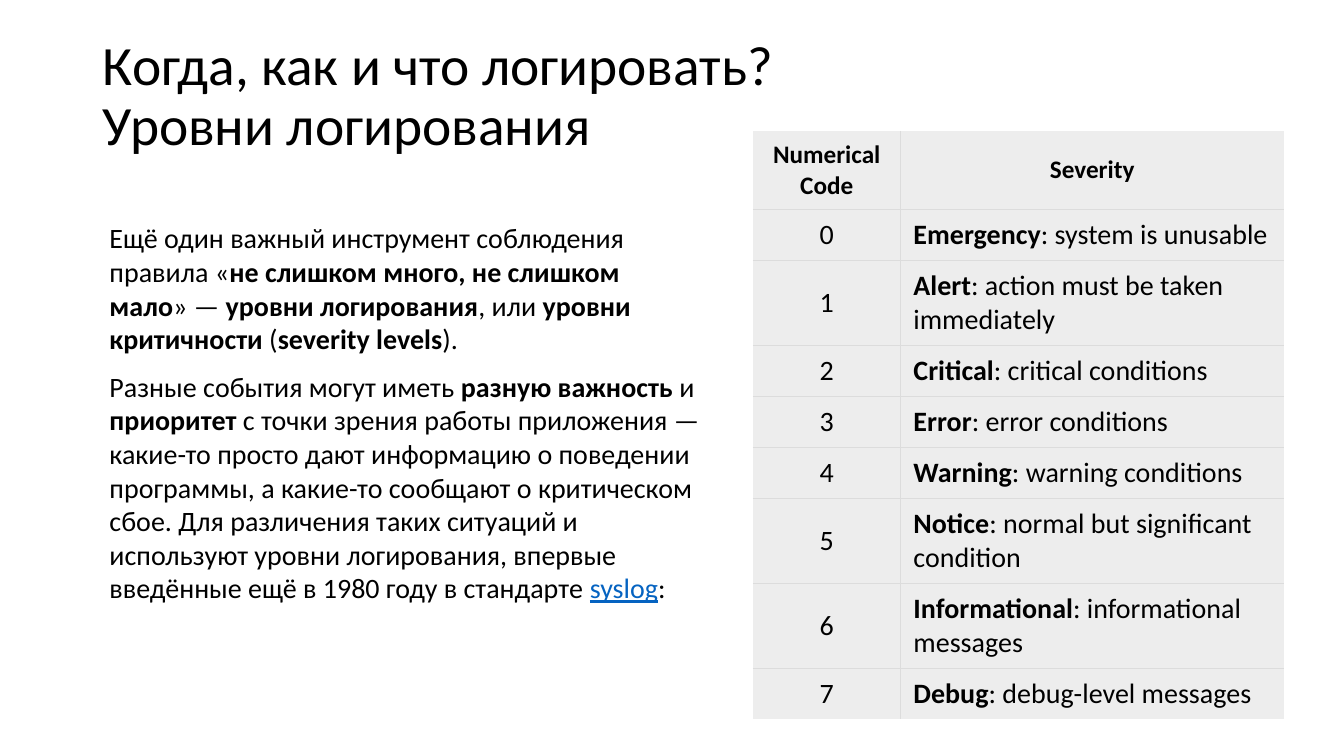
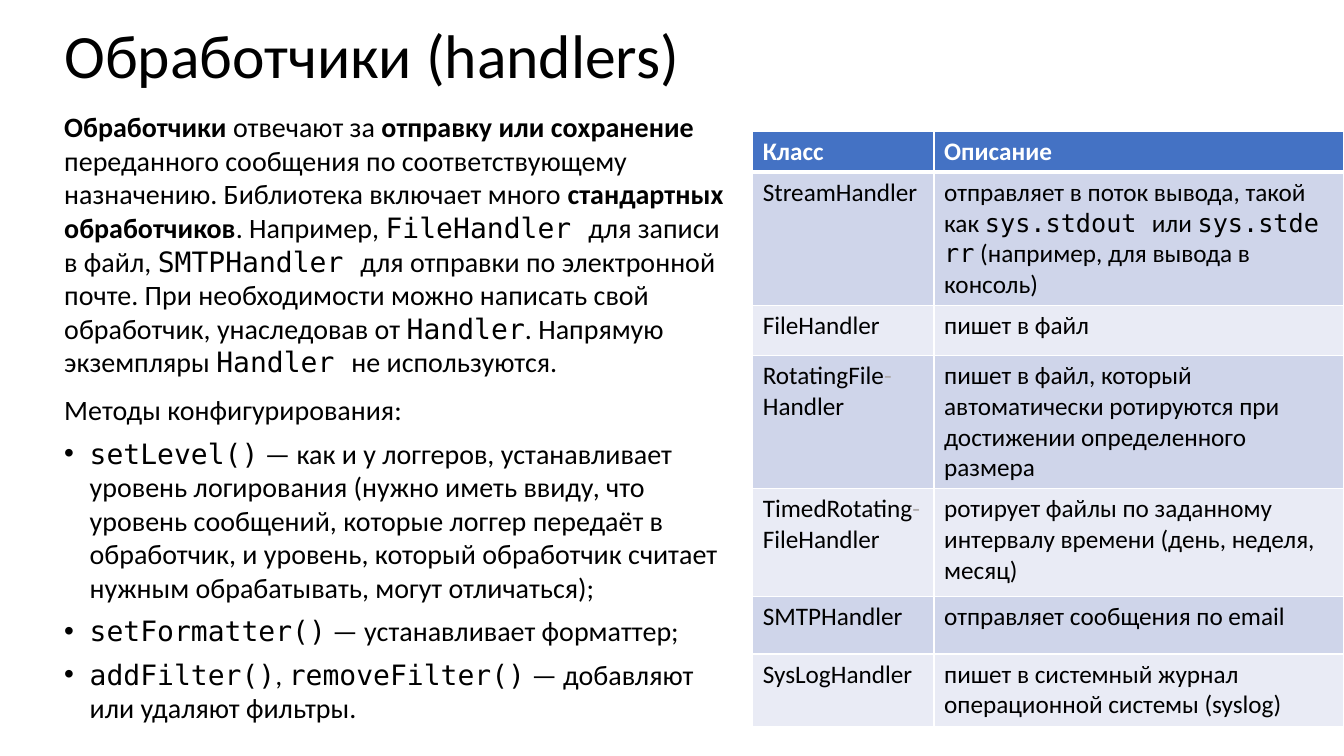
"""Build two slides about logging: severity levels and handlers."""
from lxml.etree import SubElement
from pptx import Presentation
from pptx.dml.color import RGBColor
from pptx.enum.text import MSO_ANCHOR as Anchor, PP_ALIGN as Align
from pptx.oxml.ns import qn
from pptx.util import Cm, Pt

TEXT_FONT, CODE_FONT = "Calibri", "DejaVu Sans Mono"
BLACK, WHITE, LINK, MUTED = "000000", "FFFFFF", "0563C1", "AFABAB"
GREY_FILL, GREY_LINE = "EDEDED", "DCDCDC"
HEADER_FILL, BAND_FILLS = "4472C4", ("CFD5EA", "E9EBF5")
TABLE_LEFT, TABLE_TOP = 18.97, 3.3
STYLE_MARKS = "*`_^"

SEVERITIES = [
    ("Emergency", "system is unusable", 1.28),
    ("Alert", "action must be taken immediately", 2.15),
    ("Critical", "critical conditions", 1.28),
    ("Error", "error conditions", 1.28),
    ("Warning", "warning conditions", 1.28),
    ("Notice", "normal but significant condition", 2.15),
    ("Informational", "informational messages", 2.15),
    ("Debug", "debug-level messages", 1.28),
]
SEVERITY_TEXT = [
    "Ещё один важный инструмент соблюдения правила~«*не слишком много, не слишком мало*»~—~"
    "*уровни логирования*, или~*уровни критичности*~(*severity levels*).",
    "Разные события могут иметь *разную важность* и *приоритет* с точки зрения работы "
    "приложения — какие-то просто дают информацию о поведении программы, а какие-то сообщают "
    "о критическом сбое. Для различения таких ситуаций и используют уровни логирования, "
    "впервые введённые ещё в 1980 году в стандарте~_syslog_:",
]
HANDLERS = [
    ("StreamHandler", "отправляет в поток вывода, такой как~`sys.stdout~`или~`sys.stderr` "
     "(например, для вывода в консоль)", 3.35),
    ("FileHandler", "пишет в файл", 1.27),
    ("RotatingFile^-^\nHandler", "пишет в файл, который автоматически ротируются при "
     "достижении определенного размера", 3.35),
    ("TimedRotating^-^FileHandler", "ротирует файлы по заданному интервалу времени "
     "(день, неделя, месяц)", 2.72),
    ("SMTPHandler", "отправляет сообщения по email", 1.45),
    ("SysLogHandler", "пишет в системный журнал операционной системы (syslog)", 1.83),
]
HANDLER_TEXT = [
    "*Обработчики*~отвечают за *отправку или сохранение* переданного сообщения по "
    "соответствующему назначению. Библиотека включает много~*стандартных обработчиков*. "
    "Например,~`FileHandler~`для записи в файл,~`SMTPHandler~`для отправки по электронной "
    "почте. При необходимости можно написать свой обработчик, унаследовав от~`Handler`. "
    "Напрямую экземпляры~`Handler~`не используются.",
    "Методы конфигурирования:",
]
HANDLER_METHODS = [
    "`setLevel()` — как и у логгеров, устанавливает уровень логирования (нужно иметь ввиду, "
    "что уровень сообщений, которые логгер передаёт в обработчик, и уровень, который "
    "обработчик считает нужным обрабатывать, могут отличаться);",
    "`setFormatter()`~— устанавливает форматтер;",
    "`addFilter()`,~`removeFilter()`~— добавляют или удаляют фильтры.",
]


def color(value):
    """Turn a hex string into a colour."""
    return RGBColor.from_string(value)


def add_styled_run(paragraph, text, mark):
    """Add a run in the style of its mark, turning newlines into line breaks."""
    for index, line in enumerate(text.replace("~", chr(160)).split("\n")):
        if index:
            paragraph.add_line_break()
        if not line:
            continue
        run = paragraph.add_run()
        run.text = line
        if mark == "*":
            run.font.bold = True
        elif mark == "`":
            run.font.name = CODE_FONT
        elif mark == "_":
            run.font.underline = True
            run.font.color.rgb = color(LINK)
        elif mark == "^":
            run.font.color.rgb = color(MUTED)


def write(paragraph, text, size, ink=BLACK, bold=False):
    """Write marked text: *bold*, `code`, _link_, ^muted^ and ~ for a fixed space."""
    font = paragraph.font
    font.name, font.size, font.bold = TEXT_FONT, Pt(size), bold
    font.color.rgb = color(ink)
    mark, chunk = "", ""
    for letter in text:
        if letter in STYLE_MARKS:
            add_styled_run(paragraph, chunk, mark)
            mark, chunk = "" if mark else letter, ""
        else:
            chunk += letter
    add_styled_run(paragraph, chunk, mark)


def add_frame(slide, box, anchor=Anchor.TOP):
    """Add a wrapping text box and return its text frame."""
    frame = slide.shapes.add_textbox(*map(Cm, box)).text_frame
    frame.word_wrap = True
    frame.vertical_anchor = anchor
    return frame


def add_title(slide, box, text, size):
    """Add the slide title."""
    paragraph = add_frame(slide, box, Anchor.MIDDLE).paragraphs[0]
    paragraph.line_spacing = 0.9
    write(paragraph, text, size)


def add_bullet(paragraph):
    """Give a paragraph a hanging bullet."""
    properties = paragraph._p.get_or_add_pPr()
    properties.set("marL", str(Cm(0.64)))
    properties.set("indent", str(-Cm(0.64)))
    SubElement(properties, qn("a:buFont"), typeface="Arial")
    SubElement(properties, qn("a:buChar"), char="•")


def add_body(slide, box, texts, bullets=()):
    """Add plain paragraphs followed by bulleted ones."""
    frame = add_frame(slide, box)
    for index, text in enumerate([*texts, *bullets]):
        paragraph = frame.add_paragraph() if index else frame.paragraphs[0]
        is_bullet = index >= len(texts)
        paragraph.line_spacing = Pt(24)
        if index:
            paragraph.space_before = Pt(7 if is_bullet else 10)
        if is_bullet:
            add_bullet(paragraph)
        write(paragraph, text, 20)


def set_borders(cell, borders):
    """Draw cell borders given as side: (colour, width), leaving other sides empty."""
    properties = cell._tc.get_or_add_tcPr()
    for side in "LRTB":
        ink, width = borders.get(side, (None, 0))
        line = SubElement(properties, qn(f"a:ln{side}"), w=str(Pt(width)))
        if ink:
            fill = SubElement(line, qn("a:solidFill"))
            SubElement(fill, qn("a:srgbClr"), val=ink)
        else:
            SubElement(line, qn("a:noFill"))


def add_table(slide, widths, heights):
    """Add an empty table at the shared place."""
    box = (TABLE_LEFT, TABLE_TOP, sum(widths), sum(heights))
    table = slide.shapes.add_table(len(heights), len(widths), *map(Cm, box)).table
    table.horz_banding = False
    for column, width in zip(table.columns, widths):
        column.width = Cm(width)
    for row, height in zip(table.rows, heights):
        row.height = Cm(height)
    return table


def fill_cell(cell, text, fill, borders, size, ink=BLACK, bold=False):
    """Write a cell and set its borders and fill."""
    set_borders(cell, borders)
    cell.fill.solid()
    cell.fill.fore_color.rgb = color(fill)
    write(cell.text_frame.paragraphs[0], text, size, ink, bold)


def add_severity_table(slide):
    """Add the grey table of severity codes, ruled on the inside only."""
    rows = [("Numerical Code", "Severity")]
    rows += [(str(code), f"*{name}*: {meaning}")
             for code, (name, meaning, _) in enumerate(SEVERITIES)]
    table = add_table(slide, (3.73, 9.65), [1.98] + [entry[2] for entry in SEVERITIES])
    for row, texts in enumerate(rows):
        for column, text in enumerate(texts):
            cell = table.cell(row, column)
            sides = "L" if column else "R"
            sides += "T" if row else ""
            sides += "B" if row < len(rows) - 1 else ""
            is_header = row == 0
            fill_cell(cell, text, GREY_FILL, dict.fromkeys(sides, (GREY_LINE, 0.75)),
                      18 if is_header else 20, bold=is_header)
            cell.vertical_anchor = Anchor.MIDDLE
            cell.margin_left = cell.margin_right = Cm(0.32)
            cell.margin_top = cell.margin_bottom = Cm(0.21)
            if is_header or column == 0:
                cell.text_frame.paragraphs[0].alignment = Align.CENTER


def add_handler_table(slide):
    """Add the banded table of handler classes."""
    rows = [("Класс", "Описание")] + [entry[:2] for entry in HANDLERS]
    table = add_table(slide, (4.57, 10.32), [1.04] + [entry[2] for entry in HANDLERS])
    for row, texts in enumerate(rows):
        borders = dict.fromkeys("LRTB", (WHITE, 1))
        if row == 0:
            borders["B"] = (WHITE, 3)
        elif row == 1:
            borders["T"] = (WHITE, 3)
        fill = BAND_FILLS[(row - 1) % 2] if row else HEADER_FILL
        for column, text in enumerate(texts):
            fill_cell(table.cell(row, column), text, fill, borders, 18,
                      BLACK if row else WHITE, row == 0)


def build_severity_slide(slide):
    """Build the slide on severity levels."""
    add_title(slide, (2.34, 1.02, 29.21, 2.87),
              "Когда, как и что логировать?\nУровни логирования", 39.6)
    add_severity_table(slide)
    add_body(slide, (2.51, 5.44, 15.77, 10), SEVERITY_TEXT)


def build_handler_slide(slide):
    """Build the slide on handlers."""
    add_title(slide, (1.37, 0.3, 16.13, 2.34), "Обработчики (handlers)", 44)
    add_body(slide, (1.37, 2.64, 17.35, 15.95), HANDLER_TEXT, HANDLER_METHODS)
    add_handler_table(slide)


def main():
    """Build and save the presentation."""
    presentation = Presentation()
    presentation.slide_width, presentation.slide_height = Cm(33.87), Cm(19.05)
    blank = presentation.slide_layouts[6]
    for build in (build_severity_slide, build_handler_slide):
        build(presentation.slides.add_slide(blank))
    presentation.save("out.pptx")


if __name__ == "__main__":
    main()
